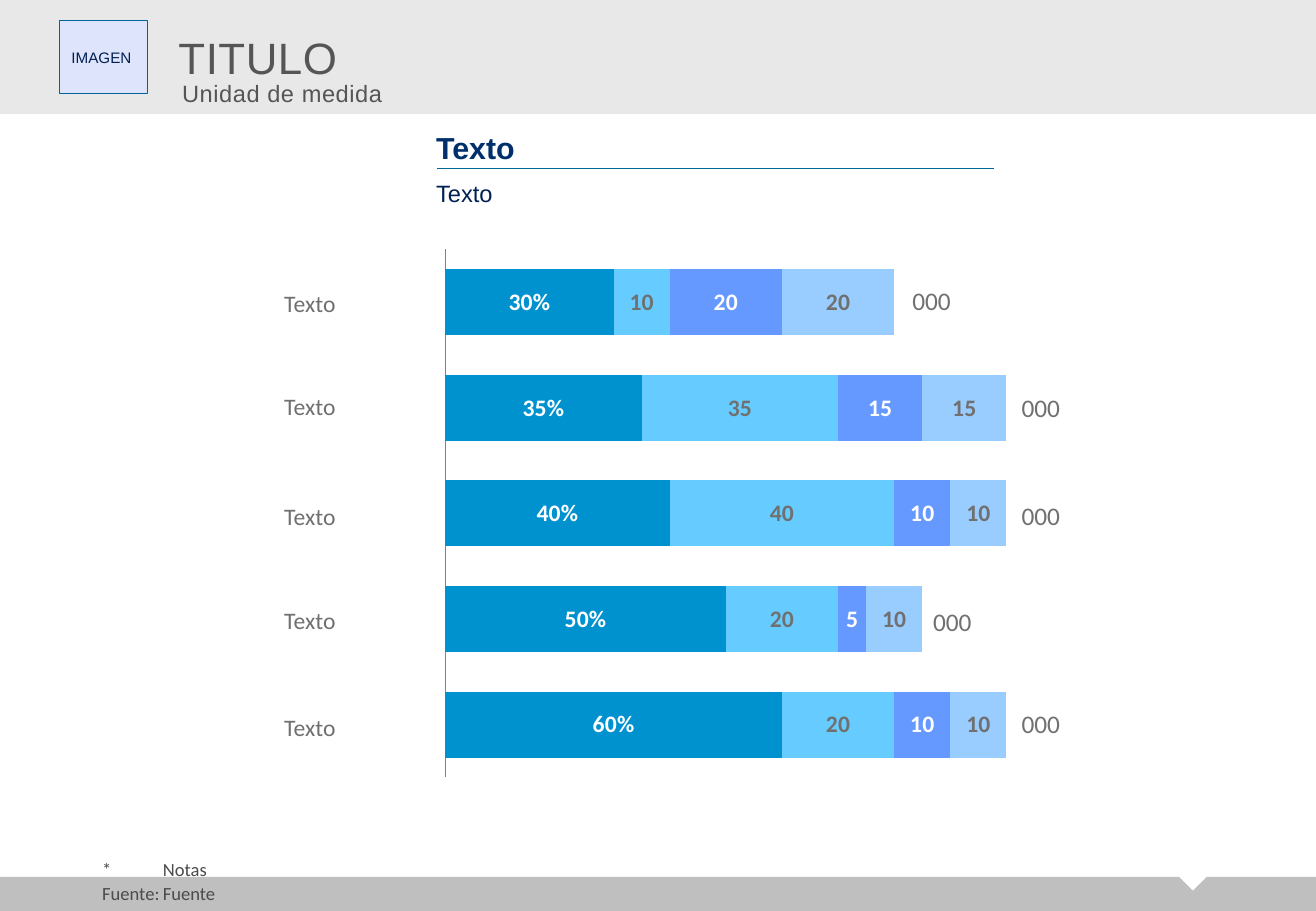
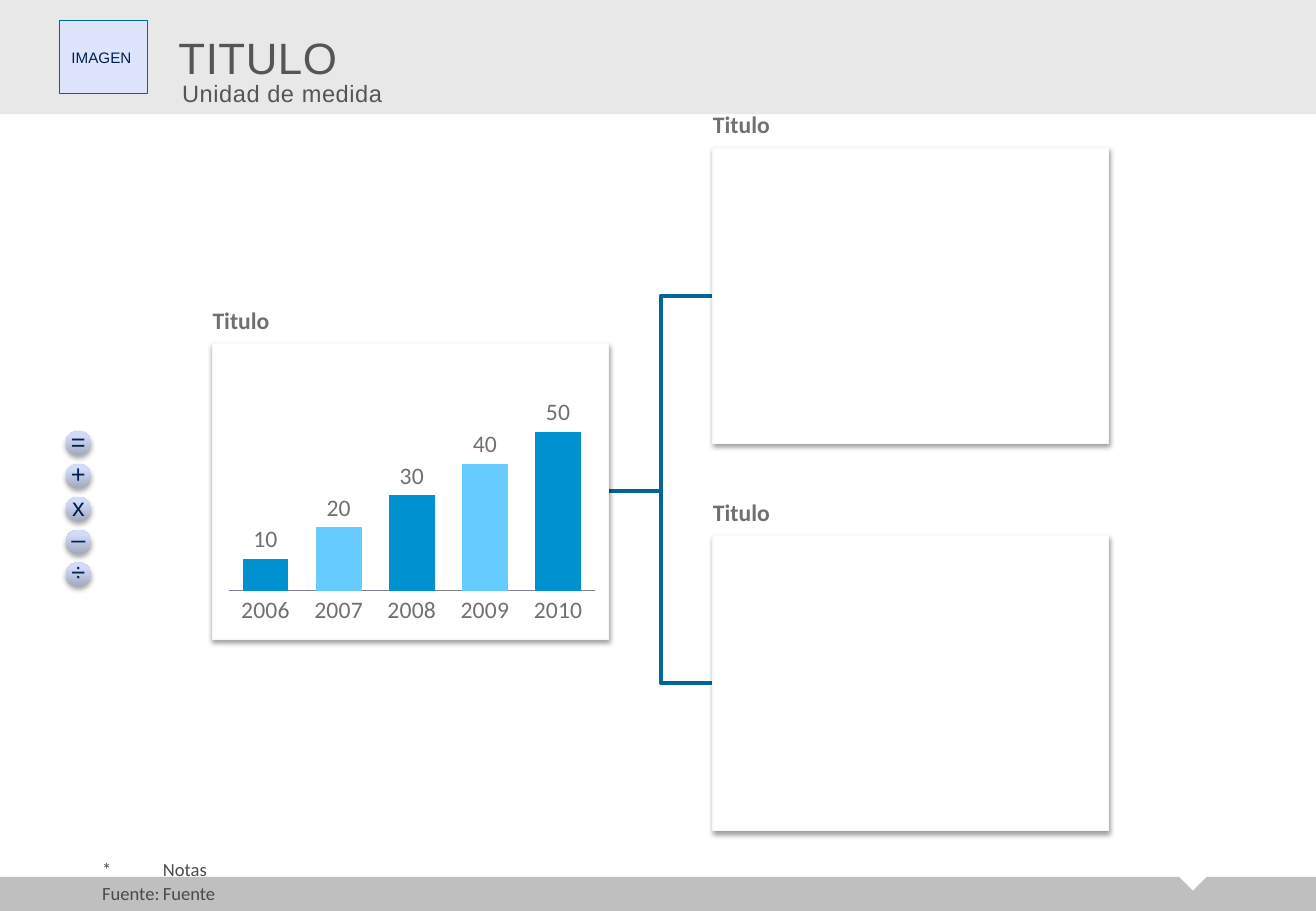
"""Build two report slides: stacked bars by row, and a chart that branches into two panels."""
from lxml.etree import SubElement
from pptx import Presentation
from pptx.chart.data import CategoryChartData
from pptx.dml.color import RGBColor
from pptx.enum.chart import XL_CHART_TYPE, XL_LABEL_POSITION, XL_TICK_LABEL_POSITION, XL_TICK_MARK
from pptx.enum.shapes import MSO_CONNECTOR, MSO_SHAPE
from pptx.enum.text import MSO_ANCHOR, PP_ALIGN
from pptx.oxml.ns import qn
from pptx.util import Pt

WIDE, HIGH = 780, 540
NAVY, BLUE, GREY, DARK = "002052", "006699", "707070", "555555"
DEEP, SKY, IRIS, PALE = "0092CF", "66CCFF", "6699FF", "99CCFF"
hue = RGBColor.from_string


def draw(slide, kind, at, fill, edge=None):
    """Add a filled preset shape, with a thin edge if one is given."""
    shape = slide.shapes.add_shape(kind, *map(Pt, at))
    shape.shadow.inherit = False
    shape.fill.solid()
    shape.fill.fore_color.rgb = hue(fill)
    if edge:
        shape.line.color.rgb = hue(edge)
        shape.line.width = Pt(0.75)
    else:
        shape.line.fill.background()
    return shape


def write(shape, text, size, tint, face="Calibri", bold=False, anchor=MSO_ANCHOR.TOP):
    """Set left-aligned text without margins and return its frame."""
    frame = shape.text_frame
    frame.margin_left = frame.margin_right = frame.margin_top = frame.margin_bottom = 0
    frame.word_wrap = True
    frame.vertical_anchor = anchor
    frame.text = text
    for para in frame.paragraphs:
        para.alignment = PP_ALIGN.LEFT
        for run in para.runs:
            run.font.size, run.font.name, run.font.bold = Pt(size), face, bold
            run.font.color.rgb = hue(tint)
    return frame


deck = Presentation()
deck.slide_width, deck.slide_height = Pt(WIDE), Pt(HIGH)
bars, tree = [deck.slides.add_slide(deck.slide_layouts[6]) for _ in range(2)]

for slide in (bars, tree):
    draw(slide, MSO_SHAPE.RECTANGLE, (0, 519.8, WIDE, 20.2), "BFBFBF")
    notch = draw(slide, MSO_SHAPE.ISOSCELES_TRIANGLE, (698.4, 519.2, 17.3, 8.6), "FFFFFF")
    notch.rotation = 180
    band = draw(slide, MSO_SHAPE.RECTANGLE, (0, 0, WIDE, 67.7), "E8E8E8")
    title = write(band, "TITULO", 26, DARK, "Arial", anchor=MSO_ANCHOR.MIDDLE)
    title.margin_left = Pt(105.8)
    badge = draw(slide, MSO_SHAPE.RECTANGLE, (35.3, 12, 52.2, 43.6), "DDE4FB", BLUE)
    write(badge, "IMAGEN", 9, NAVY, "Arial", anchor=MSO_ANCHOR.MIDDLE).margin_left = Pt(7.2)
    area = slide.shapes.add_textbox(Pt(13), Pt(509), Pt(737), Pt(27.4))
    notes = write(area, "\t*\tNotas\n\tFuente:\tFuente", 11, "4B4B4B", anchor=MSO_ANCHOR.BOTTOM)
    for para in notes.paragraphs:
        para.line_spacing, para.space_after = 0.95, Pt(2)
        props = para._p.get_or_add_pPr()
        props.set("marL", str(Pt(47.5)))
        props.set("indent", str(Pt(-47.5)))
        SubElement(SubElement(props, qn("a:tabLst")), qn("a:tab"), pos=str(Pt(41)), algn="r")
    area = slide.shapes.add_textbox(Pt(108), Pt(46.8), Pt(648), Pt(17.3))
    unit = write(area, "Unidad de medida", 14, DARK, "Arial")
    for frame in (title, unit):
        para = frame.paragraphs[0]
        para.space_before = Pt(0.9)
        para.runs[0]._r.get_or_add_rPr().set("spc", "30")

raised = []
panels = [(126, 203.8), (422.6, 87.8), (422.6, 317.5)]
span, rise = 234.7, 175
for left, top in panels[1:]:
    link = tree.shapes.add_connector(
        MSO_CONNECTOR.ELBOW, Pt(panels[0][0] + span), Pt(panels[0][1] + rise / 2),
        Pt(left), Pt(top + rise / 2))
    link.line.color.rgb = hue(BLUE)
    link.line.width = Pt(2.25)
    SubElement(link._element.spPr, qn("a:effectLst"))
for left, top in panels:
    panel = draw(tree, MSO_SHAPE.RECTANGLE, (left, top, span, rise), "FFFFFF", "F9F9F9")
    raised.append((panel, 1.6, 38000))
    area = tree.shapes.add_textbox(Pt(left), Pt(top - 23), Pt(span), Pt(17.3))
    write(area, "Titulo", 14, GREY, bold=True, anchor=MSO_ANCHOR.BOTTOM)

signs = [("=", 0.85), ("+", 0.8), ("x", 0.85), ("–", 0.8), ("÷", 0.75)]
for row, (sign, gap) in enumerate(signs):
    ball = draw(tree, MSO_SHAPE.OVAL, (38.9, 255.6 + 19.44 * row, 15.1, 14.4), "D2DBF8")
    ball.fill.gradient()
    ball.fill.gradient_angle = 90
    for stop, tint, place in zip(ball.fill.gradient_stops, ("A2A8BF", "D2DBF8"), (0, 0.8)):
        stop.color.rgb = hue(tint)
        stop.position = place
    frame = write(ball, sign, 15, NAVY, "Arial", anchor=MSO_ANCHOR.MIDDLE)
    frame.word_wrap = False
    frame.paragraphs[0].alignment = PP_ALIGN.CENTER
    frame.paragraphs[0].line_spacing = gap
    raised.append((ball, 1.8, 35000))

for shape, drop, alpha in raised:
    glow = SubElement(shape._element.spPr.find(qn("a:effectLst")), qn("a:outerShdw"),
                      blurRad=str(Pt(3.1)), dist=str(Pt(drop)), dir="5400000",
                      algn="t", rotWithShape="0")
    tone = SubElement(glow, qn("a:srgbClr"), val="000000")
    SubElement(tone, qn("a:alpha"), val=str(alpha))

charts = [
    (bars, XL_CHART_TYPE.BAR_STACKED, (252, 136.8, 519.8, 335.5), (0.023, 0.033, 0.768, 0.933),
     ["1", "2", "3", "4", "5"], 120, XL_LABEL_POSITION.CENTER,
     [((30, 35, 40, 50, 60), DEEP, "FFFFFF"), ((10, 35, 40, 20, 20), SKY, GREY),
      ((20, 15, 10, 5, 10), IRIS, "FFFFFF"), ((20, 15, 10, 10, 10), PALE, GREY)]),
    (tree, XL_CHART_TYPE.COLUMN_CLUSTERED, (127.4, 228.2, 232.6, 147.6), (0.036, 0.061, 0.932, 0.766),
     ["2006", "2007", "2008", "2009", "2010"], 60, XL_LABEL_POSITION.OUTSIDE_END,
     [((10, 20, 30, 40, 50), DEEP, GREY)]),
]
for slide, kind, at, inner, names, peak, spot, rows in charts:
    data = CategoryChartData()
    data.categories = names
    for count, (values, _, _) in enumerate(rows, 1):
        data.add_series(f"Series {count}", values)
    chart = slide.shapes.add_chart(kind, *map(Pt, at), data).chart
    chart.has_legend = chart.has_title = False
    chart.font.size, chart.font.name = Pt(14), "Calibri"
    chart.font.color.rgb = hue(GREY)
    base, scale = chart.category_axis, chart.value_axis
    base.major_tick_mark = base.minor_tick_mark = XL_TICK_MARK.NONE
    base.has_major_gridlines = scale.has_major_gridlines = False
    base.format.line.color.rgb = hue("7F8096")
    base.format.line.width = Pt(0.75)
    scale.minimum_scale, scale.maximum_scale = 0, peak
    scale.visible = False
    plot = chart.plots[0]
    plot.gap_width = 60
    plot.vary_by_categories = False
    for series, (_, fill, tint) in zip(plot.series, rows):
        series.format.fill.solid()
        series.format.fill.fore_color.rgb = hue(fill)
        labels = series.data_labels
        labels.show_value = True
        labels.position = spot
        labels.font.size, labels.font.name = Pt(14), "Calibri"
        labels.font.bold = slide is bars
        labels.font.color.rgb = hue(tint)
    if slide is bars:
        plot.overlap = 100
        base.reverse_order = True
        base.tick_label_position = XL_TICK_LABEL_POSITION.NONE
        first = plot.series[0].data_labels
        first.number_format, first.number_format_is_linked = 'General"%"', False
    else:
        for index in (1, 3):
            point = plot.series[0].points[index].format.fill
            point.solid()
            point.fore_color.rgb = hue(SKY)
    field = chart.element.find(".//" + qn("c:plotArea"))
    for old in field.findall(qn("c:layout")):
        field.remove(old)
    layout = SubElement(field, qn("c:layout"))
    field.insert(0, layout)
    manual = SubElement(layout, qn("c:manualLayout"))
    parts = [("layoutTarget", "inner"), ("xMode", "edge"), ("yMode", "edge"), *zip("xywh", inner)]
    for name, value in parts:
        SubElement(manual, qn("c:" + name), val=str(value))

totals = [(540.7, 169.2), (605.5, 232.6), (605.5, 296.6), (553, 359.3), (605.5, 419.8)]
tops = [171.4, 232.6, 297.4, 359.3, 422.6]
for (left, top), level in zip(totals, tops):
    write(bars.shapes.add_textbox(Pt(left), Pt(top), Pt(32.4), Pt(18)), "000", 15, GREY)
    write(bars.shapes.add_textbox(Pt(168.5), Pt(level), Pt(86.4), Pt(17.3)), "Texto", 14, GREY)

rule = bars.shapes.add_connector(MSO_CONNECTOR.STRAIGHT, Pt(259), Pt(100), Pt(589), Pt(100))
rule.line.color.rgb = hue(BLUE)
rule.line.width = Pt(0.75)
SubElement(rule._element.spPr, qn("a:effectLst"))
area = bars.shapes.add_textbox(Pt(258.5), Pt(80), Pt(327.6), Pt(18))
write(area, "Texto", 18, "00306B", "Arial", True, MSO_ANCHOR.BOTTOM)
area = bars.shapes.add_textbox(Pt(258.5), Pt(105.8), Pt(327.6), Pt(17.3))
write(area, "Texto", 14, NAVY, "Arial")

deck.save("out.pptx")
